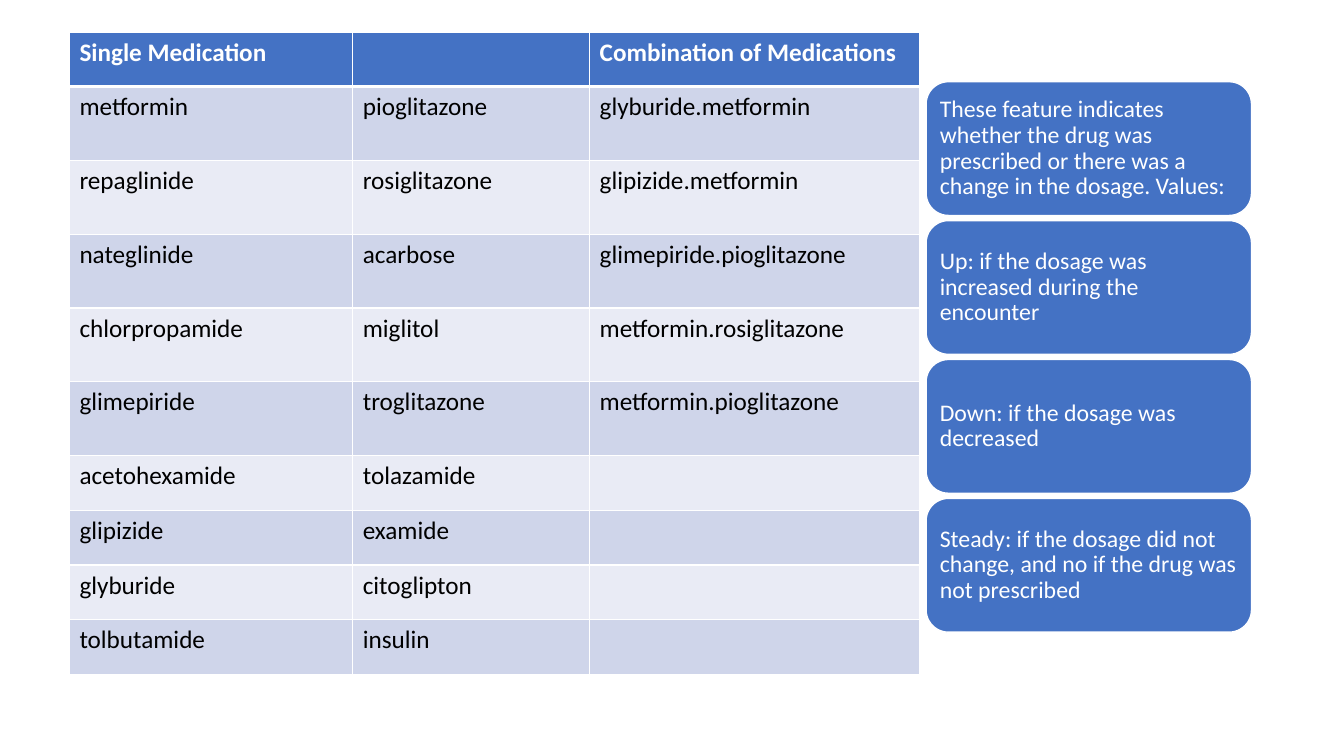
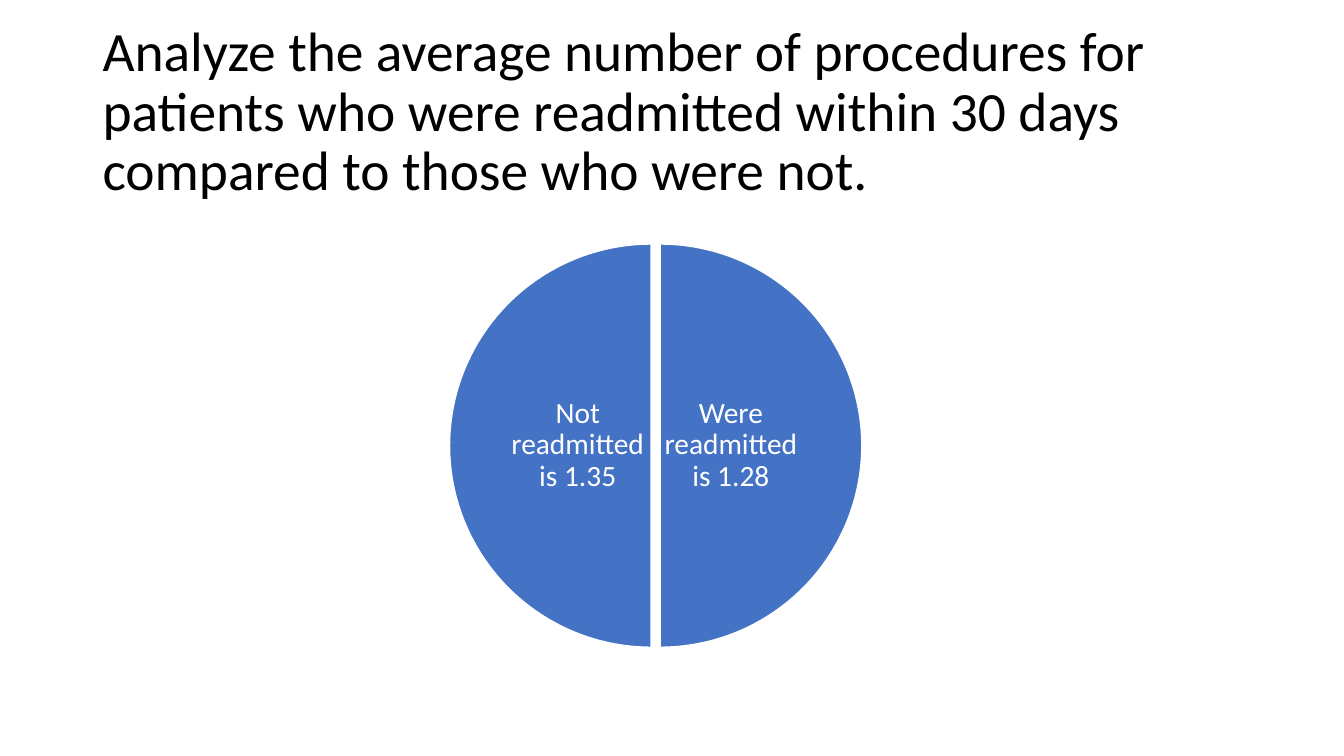
from lxml import etree
from pptx import Presentation
from pptx.dml.color import RGBColor
from pptx.enum.shapes import MSO_SHAPE
from pptx.enum.text import MSO_ANCHOR, MSO_AUTO_SIZE, PP_ALIGN
from pptx.oxml.ns import qn
from pptx.util import Cm, Pt

BLUE = RGBColor(0x44, 0x72, 0xC4)
DARK = RGBColor(0xCF, 0xD5, 0xEA)
PALE = RGBColor(0xE9, 0xEB, 0xF5)
WHITE = RGBColor(0xFF, 0xFF, 0xFF)
BLACK = RGBColor(0, 0, 0)
ROUND, PIE = MSO_SHAPE.ROUNDED_RECTANGLE, MSO_SHAPE.PIE
LEFT, CENTER = PP_ALIGN.LEFT, PP_ALIGN.CENTER
MIDDLE = MSO_ANCHOR.MIDDLE
NO_FIT = MSO_AUTO_SIZE.NONE
TITLE_ONLY, BLANK = 5, 6

DRUGS = [
    ("Single Medication", "", "Combination of Medications"),
    ("metformin", "pioglitazone", "glyburide.metformin"),
    ("repaglinide", "rosiglitazone", "glipizide.metformin"),
    ("nateglinide", "acarbose", "glimepiride.pioglitazone"),
    ("chlorpropamide", "miglitol", "metformin.rosiglitazone"),
    ("glimepiride", "troglitazone", "metformin.pioglitazone"),
    ("acetohexamide", "tolazamide", ""),
    ("glipizide", "examide", ""),
    ("glyburide", "citoglipton", ""),
    ("tolbutamide", "insulin", ""),
]
VALUES = [
    "These feature indicates whether the drug was prescribed or there was a "
    "change in the dosage. Values:",
    "Up: if the dosage was increased during the encounter",
    "Down: if the dosage was decreased",
    "Steady: if the dosage did not change, and no if the drug was "
    "not prescribed",
]
# Text, pie left, text left, start and end angle (162 is up, 54 is down)
HALVES = [
    ("Were readmitted is 1.28", 11.56, 16.64, (162, 54)),
    ("Not readmitted is 1.35", 11.33, 12.78, (54, 162)),
]


class Deck:
    font = "Calibri"

    def __init__(self):
        self.prs = Presentation()
        self.prs.slide_width = Cm(33.87)
        self.prs.slide_height = Cm(19.05)
        self.slide = None

    def add(self, layout):
        self.slide = self.prs.slides.add_slide(self.prs.slide_layouts[layout])

    def run(self, para, text, size, color, bold=False):
        run = para.add_run()
        run.text = text
        run.font.name = self.font
        run.font.size = Pt(size)
        run.font.bold = bold
        run.font.color.rgb = color

    def put(self, frame, text, size, color=WHITE, align=LEFT, inset=None):
        """Fill a frame with one vertically centred paragraph."""
        frame.word_wrap = True
        frame.auto_size = NO_FIT
        frame.vertical_anchor = MIDDLE
        if inset is not None:
            frame.margin_left = frame.margin_right = Cm(inset)
            frame.margin_top = frame.margin_bottom = Cm(inset)
        para = frame.paragraphs[0]
        para.alignment = align
        para.line_spacing = 0.9
        self.run(para, text, size, color)

    def title(self, text):
        title = self.slide.shapes.title
        title.left, title.top = Cm(2.33), Cm(1.01)
        title.width, title.height = Cm(29.21), Cm(3.68)
        self.put(title.text_frame, text, 39.6, BLACK)

    def shape(self, kind, left, top, width, height):
        shape = self.slide.shapes.add_shape(
            kind, Cm(left), Cm(top), Cm(width), Cm(height))
        shape.shadow.inherit = False
        shape.fill.solid()
        shape.fill.fore_color.rgb = BLUE
        shape.line.color.rgb = WHITE
        shape.line.width = Pt(1)
        return shape

    def card(self, text, left, top, width, height):
        card = self.shape(ROUND, left, top, width, height)
        self.put(card.text_frame, text, 17, inset=0.18)

    def half(self, left, top, size, angles):
        pie = self.shape(PIE, left, top, size, size)
        pie.adjustments[0], pie.adjustments[1] = angles

    def label(self, text, left, top, width, height):
        box = self.slide.shapes.add_textbox(
            Cm(left), Cm(top), Cm(width), Cm(height))
        self.put(box.text_frame, text, 21, align=CENTER, inset=0.08)

    def edge(self, cell, side, width):
        line = etree.SubElement(cell._tc.get_or_add_tcPr(), qn("a:ln" + side),
                                w=str(Pt(width)))
        fill = etree.SubElement(line, qn("a:solidFill"))
        etree.SubElement(fill, qn("a:srgbClr"), val=str(WHITE))

    def table(self, rows, left, top, widths, heights):
        table = self.slide.shapes.add_table(
            len(rows), len(widths), Cm(left), Cm(top),
            Cm(sum(widths)), Cm(sum(heights))).table
        for col, width in zip(table.columns, widths):
            col.width = Cm(width)
        for r, (texts, height) in enumerate(zip(rows, heights)):
            head = r == 0
            table.rows[r].height = Cm(height)
            for c, text in enumerate(texts):
                cell = table.cell(r, c)
                for side in "LRTB":
                    thick = (head and side == "B") or (r == 1 and side == "T")
                    self.edge(cell, side, 3 if thick else 1)
                cell.fill.solid()
                cell.fill.fore_color.rgb = (
                    BLUE if head else DARK if r % 2 else PALE)
                if text:
                    self.run(cell.text_frame.paragraphs[0], text, 18,
                             WHITE if head else BLACK, head)


def main():
    deck = Deck()

    deck.add(BLANK)
    deck.table(DRUGS, 1.75, 0.81, [7.14, 5.97, 8.31],
               [1.37] + [1.86] * 5 + [1.38] * 4)
    for i, text in enumerate(VALUES):
        deck.card(text, 23.34, 2.06 + 3.5 * i, 8.2, 3.37)

    deck.add(TITLE_ONLY)
    deck.title("Analyze the average number of procedures for patients who "
               "were readmitted within 30 days compared to those who were "
               "not.")
    for text, left, inner, angles in HALVES:
        deck.half(left, 6.15, 10.16, angles)
        deck.label(text, inner, 7.65, 3.56, 7.14)

    deck.prs.save("out.pptx")


if __name__ == "__main__":
    main()
